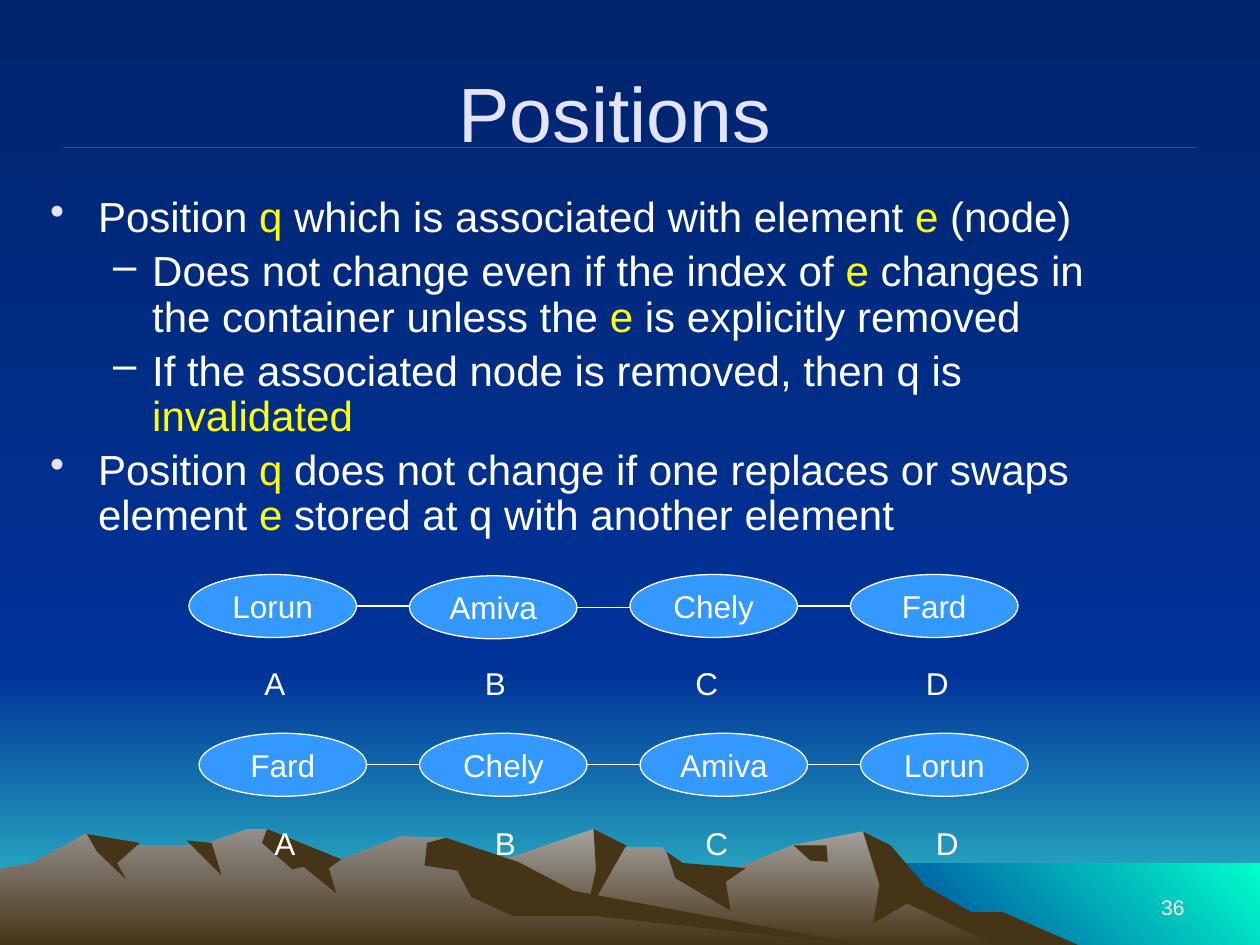
"""Build the slide about container positions over a mountain landscape."""
from dataclasses import dataclass
from typing import Any, Union

from lxml.etree import SubElement
from pptx import Presentation
from pptx.dml.color import RGBColor as Rgb
from pptx.dml.fill import FillFormat
from pptx.enum.shapes import MSO_CONNECTOR as Connector, MSO_SHAPE as Shape
from pptx.enum.text import MSO_ANCHOR as Anchor, MSO_AUTO_SIZE as AutoSize, PP_ALIGN as Align
from pptx.oxml.ns import qn
from pptx.util import Inches, Pt


@dataclass(frozen=True)
class Gradient:
    start: str
    end: str
    angle: int = 270


Paint = Union[str, Gradient]


@dataclass(frozen=True)
class Theme:
    font: str = "Arial"
    white: str = "FFFFFF"
    accent: str = "FFFF00"
    title: str = "E3E3FF"
    rule: str = "EF0129"
    node: str = "3399FF"
    shade: str = "463416"
    sky: Gradient = Gradient("00246D", "003399")
    horizon: Gradient = Gradient("003399", "33CCCC")
    lagoon: Gradient = Gradient("003399", "00FFCC", 45)
    far_slope: Gradient = Gradient("A5A29F", "463416")
    near_slope: Gradient = Gradient("938F8B", "463416")
    title_size: float = 44
    body_size: float = 24
    node_size: float = 18
    number_size: float = 12
    line_width: float = 0.75


@dataclass(frozen=True)
class Box:
    left: float
    top: float
    width: float
    height: float

    def emu(self) -> tuple:
        """Return the four lengths as slide units."""
        return tuple(map(Inches, (self.left, self.top, self.width, self.height)))


@dataclass(frozen=True)
class Outline:
    """An outline in hundredths of an inch."""
    points: tuple
    paint: Paint = Theme.shade


@dataclass(frozen=True)
class Bullet:
    text: str
    symbol: str = "•"
    color: str = Theme.title
    indent: float = 0.38
    hanging: float = 0.38
    level: int = 0


@dataclass(frozen=True)
class Chain:
    names: tuple
    left: float
    tops: tuple
    label_top: float


THEME = Theme()
PANELS = (
    (Box(0, 5.33, 10, 2.17), THEME.horizon),
    (Box(0, 0, 10, 5.33), THEME.sky),
    (Box(6.83, 6.85, 3.17, 0.67), THEME.lagoon),
)
OUTLINES = (
    Outline(((821, 751), (764, 723), (723, 698), (685, 660), (629, 671), (566, 697), (536, 690),
             (526, 673), (486, 673), (471, 658), (394, 685), (327, 709), (258, 751)), THEME.far_slope),
    Outline(((796, 724), (771, 724), (734, 703), (707, 671), (685, 660), (698, 702), (693, 733),
             (720, 717), (792, 751), (858, 751))),
    Outline(((471, 658), (473, 690), (465, 727), (497, 671))),
    Outline(((529, 676), (536, 697), (580, 723), (576, 700), (592, 689), (542, 685))),
    Outline(((630, 671), (643, 683), (657, 684), (656, 671))),
    Outline(((690, 751), (432, 712), (354, 665), (318, 664), (271, 682), (236, 681), (212, 658),
             (196, 658), (160, 671), (94, 671), (68, 662), (26, 685), (0, 690), (0, 751)),
            THEME.near_slope),
    Outline(((212, 658), (208, 669), (232, 690), (241, 688), (267, 709), (261, 689), (271, 682))),
    Outline(((354, 665), (339, 669), (337, 687), (363, 691), (374, 712), (407, 727), (472, 727),
             (690, 751), (455, 707), (411, 684))),
    Outline(((148, 667), (176, 695), (168, 669))),
    Outline(((111, 669), (93, 685), (100, 698), (77, 676), (69, 662))),
)
DASH = dict(symbol="–", color=THEME.white, indent=0.81, hanging=0.31, level=1)
BULLETS = (
    Bullet("Position *q* which is associated with element *e* (node)"),
    Bullet("Does not change even if the index of *e* changes in the container "
           "unless the *e* is explicitly removed", **DASH),
    Bullet("If the associated node is removed, then q is *invalidated*", **DASH),
    Bullet("Position *q* does not change if one replaces or swaps element *e* "
           "stored at q with another element"),
)
NAMES = ("Lorun", "Amiva", "Chely", "Fard")
CHAINS = (
    Chain(NAMES, 1.5, (4.56, 4.57, 4.56, 4.56), 5.22),
    Chain(NAMES[::-1], 1.58, (5.82,) * 4, 6.49),
)
NODE_WIDTH, NODE_HEIGHT, NODE_STEP = 1.33, 0.5, 1.75
LABELS = (("A", 0.5), ("B", 0.5), ("C", 0.42), ("D", 0.5))


def apply_formats(target: Any, **formats: Any) -> None:
    """Set each named attribute on the target."""
    for name, value in formats.items():
        setattr(target, name, value)


def paint_fill(fill: FillFormat, paint: Paint) -> None:
    """Apply a solid colour or a two-stop gradient."""
    if isinstance(paint, str):
        fill.solid()
        fill.fore_color.rgb = Rgb.from_string(paint)
        return
    fill.gradient()
    fill.gradient_angle = paint.angle
    for stop, color in zip(fill.gradient_stops, (paint.start, paint.end)):
        stop.color.rgb = Rgb.from_string(color)


def style_scenery(shape: Any, paint: Paint) -> None:
    """Give a landscape part its fill without line or shadow."""
    shape.shadow.inherit = False
    paint_fill(shape.fill, paint)
    shape.line.fill.background()


def add_run(paragraph: Any, text: str, size: float, color: str = THEME.white) -> None:
    """Add one run of formatted text."""
    run = paragraph.add_run()
    run.text = text
    apply_formats(run.font, name=THEME.font, size=Pt(size))
    run.font.color.rgb = Rgb.from_string(color)


def write_line(shape: Any, text: str, size: float, align: Align = Align.LEFT,
               anchor: Anchor = Anchor.TOP, wrap: bool = True, color: str = THEME.white) -> None:
    """Write a single paragraph into a shape."""
    apply_formats(shape.text_frame, word_wrap=wrap, vertical_anchor=anchor, auto_size=AutoSize.NONE)
    paragraph = shape.text_frame.paragraphs[0]
    paragraph.alignment = align
    add_run(paragraph, text, size, color)


def add_line(slide: Any, left: float, right: float, top: float, color: str) -> None:
    """Draw a horizontal line without shadow."""
    line = slide.shapes.add_connector(
        Connector.STRAIGHT, Inches(left), Inches(top), Inches(right), Inches(top))
    line.line.color.rgb = Rgb.from_string(color)
    line.line.width = Pt(THEME.line_width)
    SubElement(line.element.spPr, qn("a:effectLst"))


def add_scenery(slide: Any) -> None:
    """Draw the sky, the water and the mountains."""
    paint_fill(slide.background.fill, THEME.sky)
    for box, paint in PANELS:
        style_scenery(slide.shapes.add_shape(Shape.RECTANGLE, *box.emu()), paint)
    for outline in OUTLINES:
        builder = slide.shapes.build_freeform(*outline.points[0], scale=Inches(0.01))
        builder.add_line_segments(outline.points[1:], close=True)
        style_scenery(builder.convert_to_shape(), outline.paint)


def add_bullets(slide: Any, box: Box) -> None:
    """Write the bullet list, with starred words in the accent colour."""
    frame = slide.shapes.add_textbox(*box.emu()).text_frame
    frame.word_wrap = True
    for index, bullet in enumerate(BULLETS):
        paragraph = frame.add_paragraph() if index else frame.paragraphs[0]
        apply_formats(paragraph, level=bullet.level, line_spacing=0.9, space_before=Pt(5))
        properties = paragraph._p.get_or_add_pPr()
        properties.set("marL", str(Inches(bullet.indent)))
        properties.set("indent", str(-Inches(bullet.hanging)))
        SubElement(SubElement(properties, qn("a:buClr")), qn("a:srgbClr"), val=bullet.color)
        SubElement(properties, qn("a:buChar"), char=bullet.symbol)
        for part, text in enumerate(bullet.text.split("*")):
            if text:
                add_run(paragraph, text, THEME.body_size, THEME.accent if part % 2 else THEME.white)


def add_chain(slide: Any, chain: Chain) -> None:
    """Draw linked nodes with a position letter under each."""
    for index, (name, top, (letter, shift)) in enumerate(zip(chain.names, chain.tops, LABELS)):
        left = chain.left + index * NODE_STEP
        node = slide.shapes.add_shape(Shape.OVAL, *Box(left, top, NODE_WIDTH, NODE_HEIGHT).emu())
        node.shadow.inherit = False
        paint_fill(node.fill, THEME.node)
        node.line.color.rgb = Rgb.from_string(THEME.white)
        node.line.width = Pt(THEME.line_width)
        write_line(node, name, THEME.node_size, Align.CENTER, Anchor.MIDDLE, wrap=False)
        if index < len(chain.names) - 1:
            add_line(slide, left + NODE_WIDTH, left + NODE_STEP, top + NODE_HEIGHT / 2, THEME.white)
        label = slide.shapes.add_textbox(*Box(left + shift, chain.label_top, 0.58, 0.4).emu())
        write_line(label, letter, THEME.node_size)


def main() -> None:
    """Build and save the presentation."""
    presentation = Presentation()
    apply_formats(presentation, slide_width=Inches(10), slide_height=Inches(7.5))
    slide = presentation.slides.add_slide(presentation.slide_layouts[5])
    add_scenery(slide)
    add_line(slide, 0.5, 9.5, 1.17, THEME.rule)
    number = slide.shapes.add_textbox(*Box(7.17, 6.83, 2.33, 0.52).emu())
    write_line(number, "36", THEME.number_size, Align.RIGHT, Anchor.BOTTOM)
    title = slide.shapes.title
    slide.shapes.element.append(title.element)
    apply_formats(title, **dict(zip(("left", "top", "width", "height"), Box(0.38, 0.26, 9, 1.25).emu())))
    write_line(title, "Positions", THEME.title_size, Align.CENTER, Anchor.MIDDLE, color=THEME.title)
    add_bullets(slide, Box(0.3, 1.51, 8.74, 4.54))
    for chain in CHAINS:
        add_chain(slide, chain)
    presentation.save("out.pptx")


if __name__ == "__main__":
    main()
